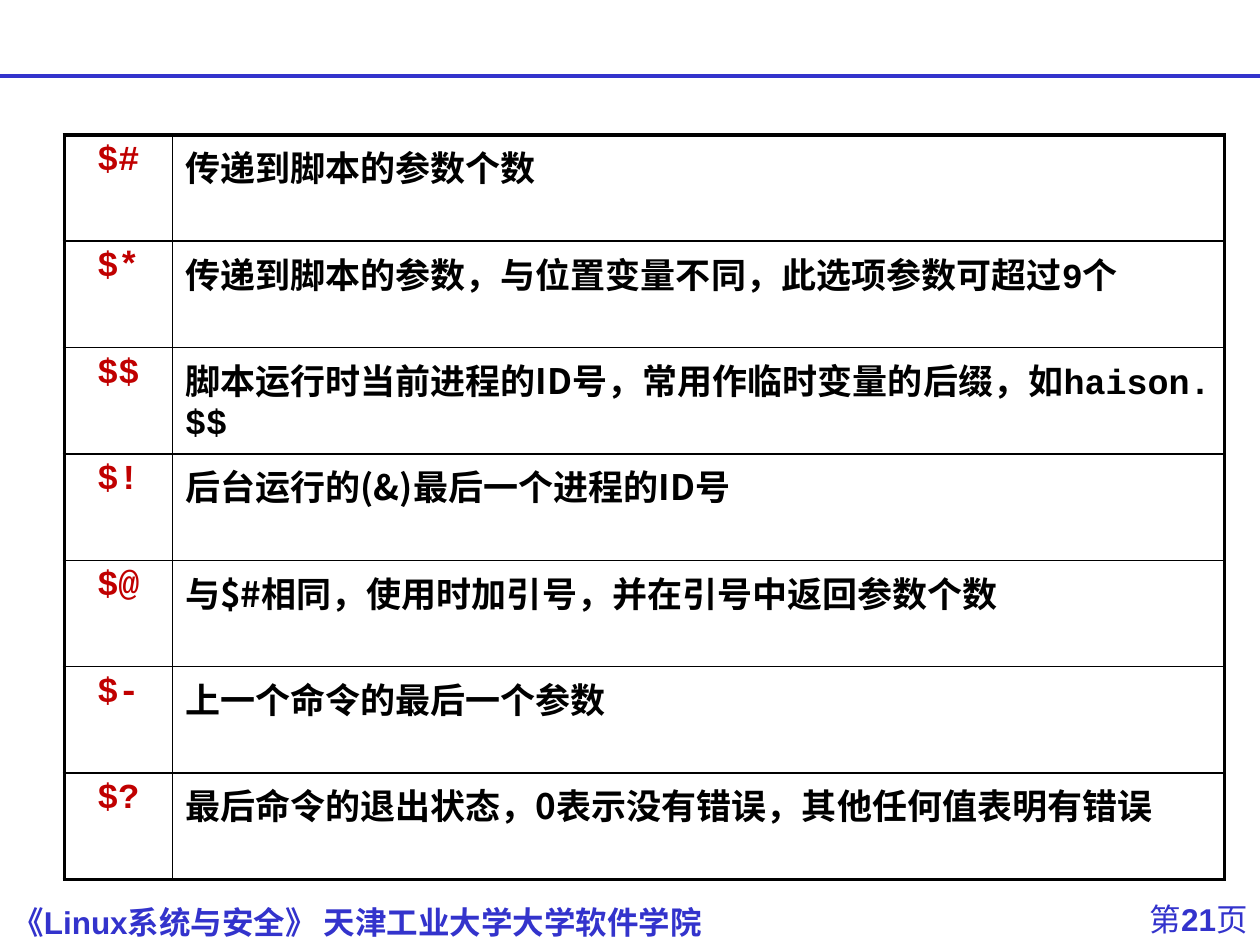
from lxml import etree
from pptx import Presentation, util as u
from pptx.dml.color import RGBColor
from pptx.enum import shapes, text
from pptx.oxml import ns

BLUE, RED, BLACK = "3333CC", "C00000", "000000"
CJK, MONO = "Noto Sans CJK SC", "Courier New"


def color(hex_value):
    return RGBColor.from_string(hex_value)


def add_run(paragraph, words, hex_value, **font_values):
    run = paragraph.add_run()
    run.text = words
    for name, value in font_values.items():
        setattr(run.font, name, value)
    run.font.color.rgb = color(hex_value)
    east_asian = etree.SubElement(run.font._element, ns.qn("a:ea"))
    east_asian.set("typeface", CJK)


presentation = Presentation()
presentation.slide_width, presentation.slide_height = u.Inches(10), u.Inches(7.5)
slide = presentation.slides.add_slide(presentation.slide_layouts[6])

# Footer: course name and page number
footers = [
    ((0, 7.13, 10, 0.37), text.PP_ALIGN.LEFT,
     [("《Linux系统与安全》 天津工业大学大学软件学院", True)]),
    ((8.11, 7.1, 1.89, 0.38), text.PP_ALIGN.RIGHT,
     [("第", False), ("21", True), ("页", False)]),
]
for place, alignment, runs in footers:
    box = slide.shapes.add_textbox(*map(u.Inches, place))
    frame_format = {"word_wrap": True, "vertical_anchor": text.MSO_ANCHOR.MIDDLE}
    for name, value in frame_format.items():
        setattr(box.text_frame, name, value)
    paragraph = box.text_frame.paragraphs[0]
    paragraph.alignment = alignment
    for words, bold in runs:
        add_run(paragraph, words, BLUE, name="Arial", size=u.Pt(18), bold=bold)

# Rule under the header
rule = slide.shapes.add_connector(
    shapes.MSO_CONNECTOR.STRAIGHT,
    u.Inches(0), u.Inches(0.6), u.Inches(10), u.Inches(0.6))
rule.line.color.rgb = color(BLUE)
rule.line.width = u.Pt(2.25)
etree.SubElement(rule._element.spPr, ns.qn("a:effectLst"))

# Table of special shell variables: name, then runs of the meaning
variables = [
    ("$#", [("传递到脚本的参数个数", CJK)]),
    ("$*", [("传递到脚本的参数，与位置变量不同，此选项参数可超过", CJK),
            ("9", MONO), ("个", CJK)]),
    ("$$", [("脚本运行时当前进程的ID号，常用作临时变量的后缀，如", CJK),
            ("haison.$$", MONO)]),
    ("$!", [("后台运行的(&)最后一个进程的ID号", CJK)]),
    ("$@", [("与$#相同，使用时加引号，并在引号中返回参数个数", CJK)]),
    ("$-", [("上一个命令的最后一个参数", CJK)]),
    ("$?", [("最后命令的退出状态，0表示没有错误，其他任何值表明有错误", CJK)]),
]
last_row = len(variables) - 1
table = slide.shapes.add_table(
    len(variables), 2, u.Inches(0.51), u.Inches(1.07),
    u.Inches(9.21), u.Inches(5.91)).table
table.first_row = table.horz_banding = False
for column, width in zip(table.columns, (0.86, 8.35)):
    column.width = u.Inches(width)

for row, (variable, meaning) in enumerate(variables):
    table.rows[row].height = u.Inches(5.91 / len(variables))
    name_cell, meaning_cell = table.cell(row, 0), table.cell(row, 1)

    name_paragraph = name_cell.text_frame.paragraphs[0]
    name_paragraph.alignment = text.PP_ALIGN.CENTER
    add_run(name_paragraph, variable, RED, name=MONO, size=u.Pt(20), bold=True)
    for words, font_name in meaning:
        add_run(meaning_cell.text_frame.paragraphs[0], words, BLACK,
                name=font_name, size=u.Pt(20), bold=True)

    # Thick outer frame, thin inner lines
    for column, cell in enumerate((name_cell, meaning_cell)):
        properties = cell._tc.get_or_add_tcPr()
        outer_sides = {"lnL": column == 0, "lnR": column == 1,
                       "lnT": row == 0, "lnB": row == last_row}
        for side, outer in outer_sides.items():
            border = etree.SubElement(properties, ns.qn("a:" + side))
            border.set("w", str(u.Pt(2.25 if outer else 1)))
            fill = etree.SubElement(border, ns.qn("a:solidFill"))
            etree.SubElement(fill, ns.qn("a:srgbClr")).set("val", BLACK)
        cell.fill.background()

presentation.save("out.pptx")
